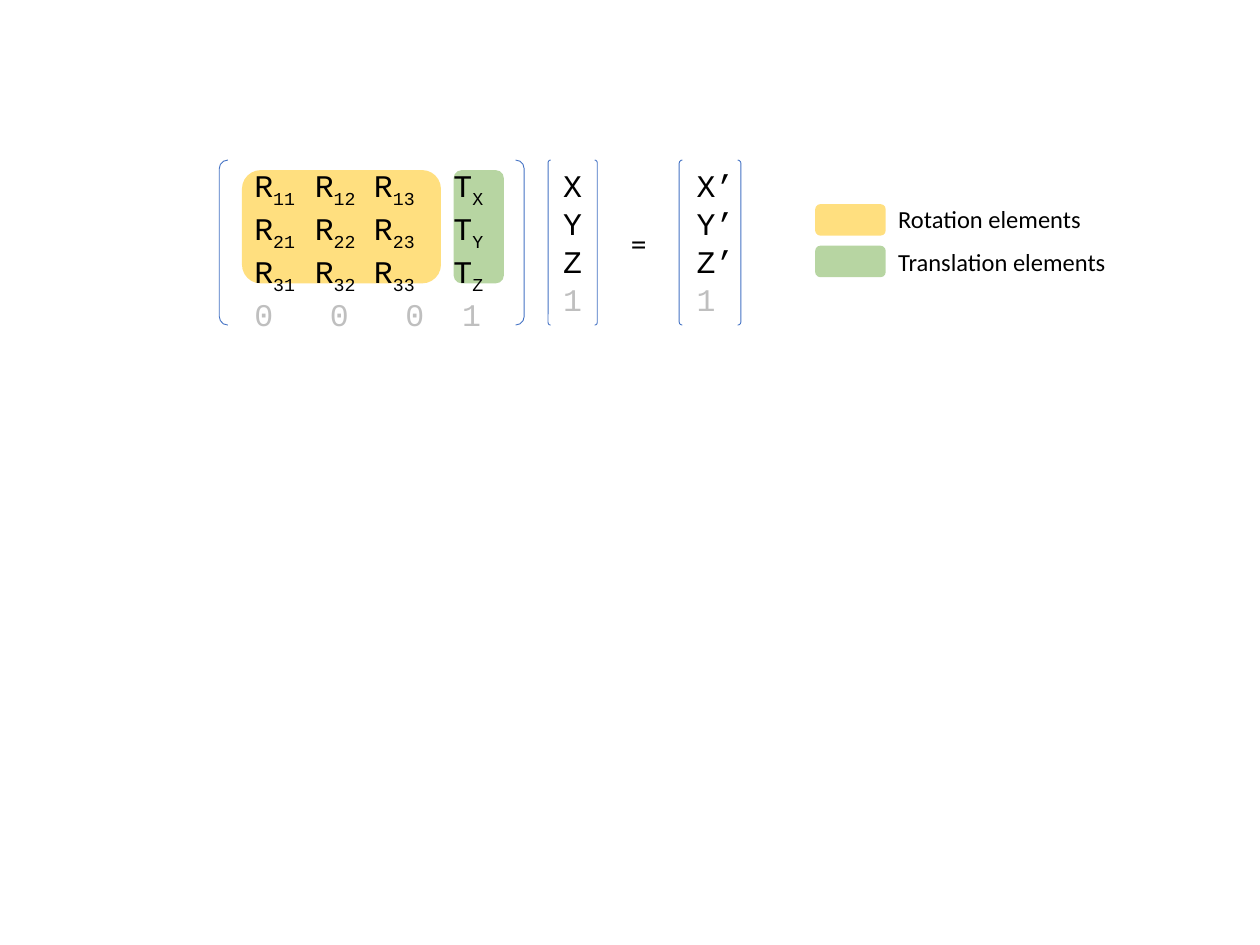
import pptx
import pptx.util
import pptx.dml.color
import pptx.enum.shapes
import pptx.enum.text
import lxml.etree

Inches = pptx.util.Inches
Pt = pptx.util.Pt
SHAPES = pptx.enum.shapes.MSO_SHAPE
COLORS = {"rotation": "FFC000", "translation": "70AD47", "bracket": "4472C4",
          "text": "000000", "homogeneous": "BFBFBF"}
MATH_FONT = "Courier New"
TOP, HEIGHT = 1.27, 1.31


def rgb(name):
    return pptx.dml.color.RGBColor.from_string(COLORS[name])


def add_block(shapes, color, left, top, width, height):
    """Half-transparent rounded block without an outline."""
    block = shapes.add_shape(SHAPES.ROUNDED_RECTANGLE, Inches(left), Inches(top),
                             Inches(width), Inches(height))
    block.shadow.inherit = False
    block.line.fill.background()
    block.fill.solid()
    block.fill.fore_color.rgb = rgb(color)
    tint = block.fill._xPr.find(".//" + pptx.oxml.ns.qn("a:srgbClr"))
    lxml.etree.SubElement(tint, pptx.oxml.ns.qn("a:alpha")).set("val", "50000")


def add_brackets(shapes, left, width):
    brackets = shapes.add_shape(SHAPES.DOUBLE_BRACKET, Inches(left), Inches(TOP),
                                Inches(width), Inches(HEIGHT))
    brackets.shadow.inherit = False
    brackets.adjustments[0] = 0.052
    brackets.fill.background()
    brackets.line.color.rgb = rgb("bracket")
    brackets.line.width = Pt(0.5)


def style(run, font, size, color="text"):
    run.font.name = font
    run.font.size = Pt(size)
    run.font.color.rgb = rgb(color)


def add_text(shapes, lines, left, top, width, height, font="Calibri", size=18):
    """Text box with one paragraph per line; a final "1" is greyed."""
    box = shapes.add_textbox(Inches(left), Inches(top), Inches(width), Inches(height))
    frame = box.text_frame
    frame.word_wrap = False
    frame.auto_size = pptx.enum.text.MSO_AUTO_SIZE.SHAPE_TO_FIT_TEXT
    frame.text = "\n".join(lines)
    for paragraph in frame.paragraphs:
        for run in paragraph.runs:
            style(run, font, size, "homogeneous" if run.text == "1" else "text")


def set_tabs(paragraph, stops):
    properties = paragraph._p.get_or_add_pPr()
    tabs = lxml.etree.SubElement(properties, pptx.oxml.ns.qn("a:tabLst"))
    for stop in stops:
        tab = lxml.etree.SubElement(tabs, pptx.oxml.ns.qn("a:tab"))
        tab.set("pos", str(Inches(stop)))
        tab.set("algn", "l")


def add_matrix(shapes):
    """Rotation and translation entries with subscripts, then the constant row."""
    box = shapes.add_textbox(Inches(1.92), Inches(TOP), Inches(2.16), Inches(HEIGHT))
    frame = box.text_frame
    frame.word_wrap = True
    for row, axis in enumerate("XYZ", start=1):
        paragraph = frame.paragraphs[0] if row == 1 else frame.add_paragraph()
        set_tabs(paragraph, (0.48, 0.95, 1.58))
        entries = [("R", f"{row}{column}") for column in (1, 2, 3)] + [("T", axis)]
        for column, (symbol, index) in enumerate(entries):
            base = paragraph.add_run()
            base.text = "\t" + symbol if column else symbol
            style(base, MATH_FONT, 18)
            subscript = paragraph.add_run()
            subscript.text = index
            style(subscript, MATH_FONT, 18)
            subscript._r.get_or_add_rPr().set("baseline", "-25000")
    constants = frame.add_paragraph()
    constants.text = "0\t0\t0\t1"
    set_tabs(constants, (0.6, 1.2, 1.65))
    for run in constants.runs:
        style(run, MATH_FONT, 18, "homogeneous")


def add_legend(slide):
    legend = slide.shapes.add_group_shape().shapes
    entries = (("rotation", "Rotation elements", 1.67),
               ("translation", "Translation elements", 1.87))
    for index, (color, label, width) in enumerate(entries):
        add_block(legend, color, 6.47, 1.62 + 0.33 * index, 0.56, 0.25)
        add_text(legend, [label], 7.03, 1.57 + 0.34 * index, width, 0.34, size=14)


def main():
    deck = pptx.Presentation()
    deck.slide_width, deck.slide_height = Inches(10), Inches(7.5)
    slide = deck.slides.add_slide(deck.slide_layouts[6])
    shapes = slide.shapes

    # Transformation matrix
    add_block(shapes, "translation", 3.6, 1.35, 0.4, 0.9)
    add_block(shapes, "rotation", 1.92, 1.35, 1.58, 0.9)
    add_matrix(shapes)
    add_brackets(shapes, 1.74, 2.42)

    add_legend(slide)

    # Point vector = transformed point vector
    add_text(shapes, ["X", "Y", "Z", "1"], 4.37, TOP, 0.35, HEIGHT, MATH_FONT)
    add_text(shapes, ["="], 4.91, 1.73, 0.33, 0.4)
    add_text(shapes, ["X’", "Y’", "Z’", "1"], 5.43, TOP, 0.5, HEIGHT, MATH_FONT)
    add_brackets(shapes, 4.35, 0.39)
    add_brackets(shapes, 5.39, 0.49)

    deck.save("out.pptx")


if __name__ == "__main__":
    main()
